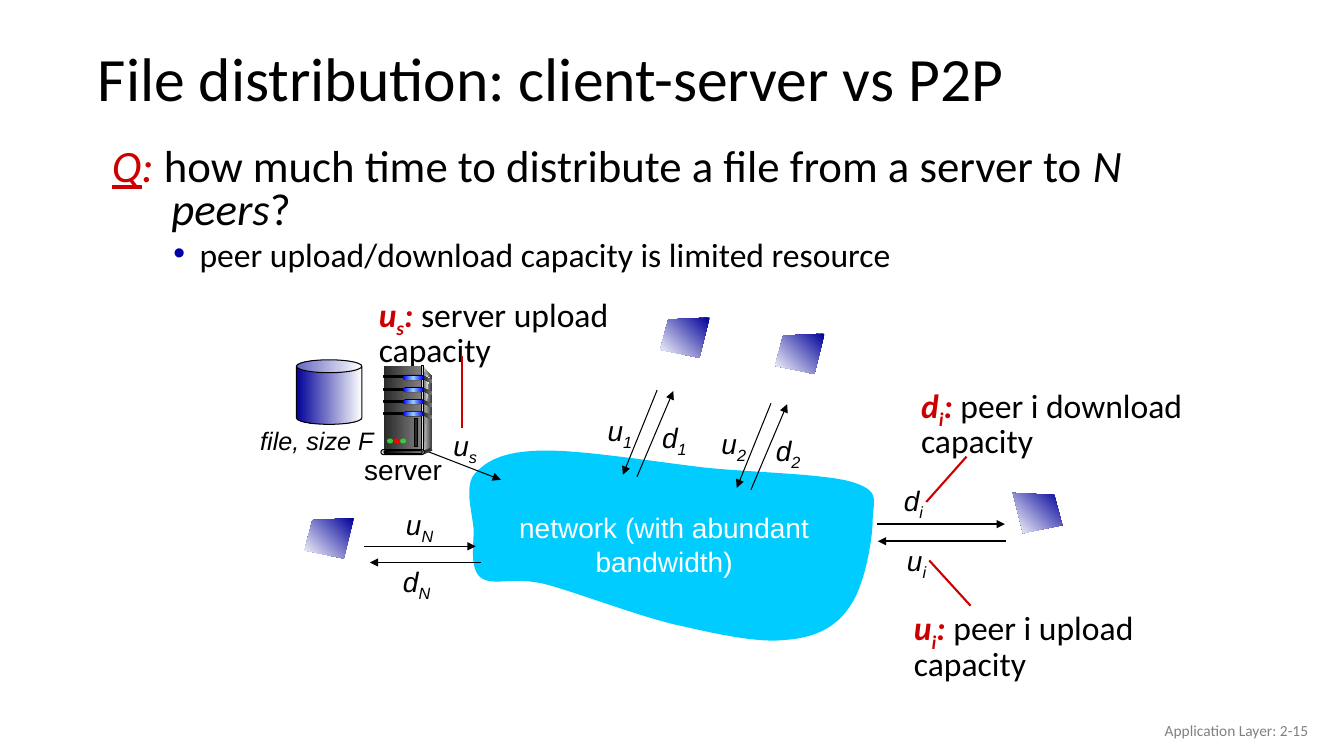
"""Build the slide on file distribution, client-server versus P2P."""
from copy import deepcopy
from lxml.etree import SubElement
from pptx import Presentation
from pptx.dml.color import RGBColor
from pptx.enum.shapes import MSO_CONNECTOR, MSO_SHAPE
from pptx.enum.text import MSO_ANCHOR, MSO_AUTO_SIZE, PP_ALIGN
from pptx.oxml.ns import qn
from pptx.util import Cm, Pt

BLACK = RGBColor(0, 0, 0)
WHITE = RGBColor(255, 255, 255)
RED = RGBColor(0xCC, 0, 0)
GREY = RGBColor(0x80, 0x80, 0x80)
CYAN = RGBColor(0, 0xCC, 0xFF)
NAVY = RGBColor(0, 0, 0x99)
BLUE = RGBColor(0, 0, 0xFF)
SKY = RGBColor(0x99, 0xCC, 0xFF)
DARK = RGBColor(0x29, 0x29, 0x29)
SLATE = RGBColor(0x33, 0x33, 0x33)
PALE = RGBColor(0xDD, 0xDD, 0xDD)
GREEN = RGBColor(0x33, 0xCC, 0x33)
LAMP = RGBColor(0xFF, 0, 0)

INCH = 2.54
TITLE = "File distribution: client-server vs P2P"
ASK = [("Q", RED, True), (":", RED, True),
       (" how much time to distribute a file from a server to ", BLACK, False),
       ("N peers", BLACK, True), ("?", BLACK, False)]
POINT = "peer upload/download capacity is limited resource"
START = (5.37, 4.47)
CURVES = [
    (4.99, 4.48, 4.83, 4.57, 4.71, 4.7), (4.6, 4.83, 4.69, 5.09, 4.7, 5.26),
    (4.7, 5.43, 4.66, 5.64, 4.77, 5.73), (4.89, 5.82, 5.07, 5.72, 5.39, 5.79),
    (5.7, 5.87, 6.27, 6.09, 6.67, 6.19), (7.07, 6.28, 7.49, 6.38, 7.78, 6.35),
    (8.08, 6.33, 8.29, 6.23, 8.43, 6.02), (8.58, 5.82, 8.66, 5.35, 8.66, 5.14),
    (8.67, 4.94, 8.73, 4.87, 8.45, 4.78), (8.17, 4.7, 7.5, 4.69, 7, 4.64),
    (6.49, 4.58, 5.75, 4.46, 5.37, 4.47)]
PLAIN = [
    (["server"], 3.36, 4.44, 1.28, 0.44, 20, BLACK, False),
    (["network (with abundant", "bandwidth)"], 5.04, 5.02, 3.1, 0.77, 20, WHITE, False),
    (["file, size F"], 2.38, 4.17, 1.53, 0.4, 18, BLACK, True)]
RATES = [("u", "s", 4.4, 4.2), ("u", "N", 3.93, 4.99), ("d", "N", 3.9, 5.55),
         ("d", "i", 8.87, 4.75), ("u", "i", 8.9, 5.34)]
TERMS = [("u", "s", " server upload capacity", 3.66, 2.89, 2.72),
         ("u", "i", " peer i upload capacity", 8.97, 6, 2.83),
         ("d", "i", " peer i download capacity", 9.04, 3.79, 3)]
FLOWS = [(4.09, 4.42, 4.97, 4.76, 0.75), (3.61, 5.42, 4.72, 5.42, 0.75),
         (4.77, 5.58, 3.67, 5.58, 0.75), (8.7, 5.2, 9.97, 5.2, 1.5),
         (9.98, 5.37, 8.71, 5.37, 1.5)]
LEADS = [(4.58, 3.53, 4.58, 4.25), (9.59, 4.53, 9.19, 4.98), (9.63, 6.01, 9.22, 5.56)]
PEERS = [(3.51, 5.14, -1), (7.04, 3.15, -1), (8.18, 3.31, -1), (10.05, 4.89, 1)]
SCREEN = [(0, 0), (0.41, 0.02), (0.49, 0.32), (0.1, 0.4)]
LIGHTS = [(3.84, GREEN), (3.91, LAMP), (3.97, GREEN)]

deck = Presentation()
deck.slide_width, deck.slide_height = Cm(33.87), Cm(19.05)
slide = deck.slides.add_slide(deck.slide_layouts[1])
shapes = slide.shapes


def span(*sizes):
    return [Cm(size * INCH) for size in sizes]


def style(font, size, color, name="Arial", slant=False):
    font.size, font.name, font.italic = Pt(size), name, slant
    font.color.rgb = color


def paint(shape, colors, angle=0, edge=False):
    shape.shadow.inherit = False
    if len(colors) == 1:
        shape.fill.solid()
        shape.fill.fore_color.rgb = colors[0]
    else:
        shape.fill.gradient()
        shape.fill.gradient_angle = angle
        stops = shape._element.spPr.find(".//" + qn("a:gsLst"))
        for _ in colors[2:]:
            stops.insert(1, deepcopy(stops[0]))
        for i, (stop, color) in enumerate(zip(shape.fill.gradient_stops, colors)):
            stop.color.rgb, stop.position = color, i / (len(colors) - 1)
    if edge:
        shape.line.color.rgb, shape.line.width = BLACK, Pt(0.75)
    else:
        shape.line.fill.background()


def block(kind, box, *colors, edge=False, bend=None):
    shape = shapes.add_shape(kind, *span(*box))
    if bend is not None:
        shape.adjustments[0] = bend
    paint(shape, colors, edge=edge)


def pill(box, *colors, edge=False):
    block(MSO_SHAPE.ROUNDED_RECTANGLE, box, *colors, edge=edge, bend=0.5)


def outline(points, *colors, angle=0):
    first, *rest = [span(*point) for point in points]
    path = shapes.build_freeform(*first)
    path.add_line_segments(rest)
    paint(path.convert_to_shape(), colors, angle)


def line(ends, color, width, arrow=True):
    link = shapes.add_connector(MSO_CONNECTOR.STRAIGHT, *span(*ends))
    link.line.color.rgb, link.line.width = color, Pt(width)
    props = link._element.spPr
    if arrow:
        SubElement(props.find(qn("a:ln")), qn("a:tailEnd"), type="triangle")
    SubElement(props, qn("a:effectLst"))


def label(box, wrap=True):
    frame = shapes.add_textbox(*span(*box)).text_frame
    frame.word_wrap, frame.auto_size = wrap, MSO_AUTO_SIZE.SHAPE_TO_FIT_TEXT
    return frame


def write(para, text, base=None):
    run = para.add_run()
    run.text = text
    if base is not None:
        run.font._element.set("baseline", str(base))
    return run


def rate(name, sub, left, top):
    para = label((left, top, 0.67, 0.44)).paragraphs[0]
    write(para, name)
    write(para, sub, -25000)
    style(para.font, 20, BLACK, slant=True)


def indent(para, left, first, mark=None):
    props = para._p.get_or_add_pPr()
    props.set("marL", str(Cm(left * INCH)))
    props.set("indent", str(Cm(first * INCH)))
    if mark:
        SubElement(SubElement(props, qn("a:buClr")), qn("a:srgbClr"), val="0000A8")
        SubElement(props, qn("a:buFont"), typeface="Arial")
        SubElement(props, qn("a:buChar"), char=mark)
    else:
        SubElement(props, qn("a:buNone"))


def place(shape, box, anchor):
    shape.left, shape.top, shape.width, shape.height = span(*box)
    frame = shape.text_frame
    frame.auto_size, frame.vertical_anchor = MSO_AUTO_SIZE.NONE, anchor
    return frame


head = place(shapes.title, (0.87, 0.32, 11.5, 0.98), MSO_ANCHOR.MIDDLE).paragraphs[0]
head.text, head.alignment, head.line_spacing = TITLE, PP_ALIGN.LEFT, 0.9
style(head.font, 44, BLACK, "Calibri")

body = place(slide.placeholders[1], (0.94, 1.42, 11.5, 1.42), MSO_ANCHOR.TOP)
ask, point = body.paragraphs[0], body.add_paragraph()
indent(ask, 0.66, -0.59)
for text, color, slant in ASK:
    style(write(ask, text).font, 32, color, "Calibri", slant)
ask.runs[0].font.underline = True
point.text, point.level = POINT, 1
indent(point, 0.94, -0.26, "•")
style(point.font, 24, BLACK, "Calibri")
for para, gap in ((ask, 0), (point, 5)):
    para.line_spacing, para.space_before = 0.8, Pt(gap)

foot = label((10.08, 7.05, 3, 0.4))
foot.vertical_anchor = MSO_ANCHOR.MIDDLE
foot.text = "Application Layer: 2-15"
foot.paragraphs[0].alignment = PP_ALIGN.RIGHT
style(foot.paragraphs[0].font, 11, GREY, "Calibri")

cloud = [START]
for ax, ay, bx, by, cx, cy in CURVES:
    x, y = cloud[-1]
    for t in (i / 12 for i in range(1, 13)):
        s = 1 - t
        parts = s ** 3, 3 * s * s * t, 3 * s * t * t, t ** 3
        cloud.append((sum(p * v for p, v in zip(parts, (x, ax, bx, cx))),
                      sum(p * v for p, v in zip(parts, (y, ay, by, cy)))))
outline(cloud, CYAN)

for *ends, width in FLOWS:
    line(ends, BLACK, width)
for i in range(2):
    dx, dy = 1.13 * i, 0.13 * i
    for name, x, y in (("u", 5.93, 4.05), ("d", 6.47, 4.12)):
        rate(name, str(i + 1), x + dx, y + dy)
    for x, y, ex, ey in ((6.52, 3.87, 6.18, 4.71), (6.32, 4.73, 6.68, 3.88)):
        line((x + dx, y + dy, ex + dx, ey + dy), BLACK, 0.75)
for item in RATES:
    rate(*item)
for rows, x, y, w, h, size, color, slant in PLAIN:
    frame = label((x, y, w, h), len(rows) == 1)
    frame.text = "\n".join(rows)
    for para in frame.paragraphs:
        para.alignment = PP_ALIGN.CENTER
        style(para.font, size, color, slant=slant)
for name, sub, text, x, y, w in TERMS:
    para = label((x, y, w, 0.79)).paragraphs[0]
    para.line_spacing = 0.85
    for part, base in ((name, 0), (sub, -25000), (":", 0)):
        run = write(para, part, base)
        style(run.font, 24, RED, "Calibri", True)
        run.font.bold = True
    style(write(para, text).font, 24, BLACK, "Calibri")
for ends in LEADS:
    line(ends, RED, 1.5, False)

block(MSO_SHAPE.CAN, (2.94, 3.57, 0.65, 0.64), NAVY, WHITE, edge=True, bend=0.2)
outline([(4.2, 3.64), (4.29, 3.74), (4.28, 4.44), (4.19, 4.47)], PALE, SLATE)
block(MSO_SHAPE.RECTANGLE, (3.81, 3.63, 0.37, 0.84), DARK, GREY)
outline([(4.21, 3.69), (4.26, 3.75), (4.22, 4.1), (4.21, 4.45)], GREY, WHITE)
block(MSO_SHAPE.RECTANGLE, (4.18, 3.63, 0.02, 0.84), SLATE, PALE, SLATE, edge=True)
for y in (3.73 + 0.12 * i for i in range(4)):
    block(MSO_SHAPE.RECTANGLE, (3.81, y, 0.21, 0.02), BLACK, edge=True)
    pill((4, y - 0.01, 0.21, 0.05), BLACK)
    pill((4, y, 0.2, 0.04), BLUE, SKY, BLUE)
    outline([(4.2, y), (4.29, y + 0.04), (4.28, y + 0.07), (4.2, y + 0.03)], DARK, GREY)
outline([(4.2, 4.47), (4.2, 4.51), (4.29, 4.47), (4.28, 4.44)], SLATE)
pill((3.78, 4.46, 0.43, 0.05), PALE, edge=True)
pill((3.81, 4.47, 0.38, 0.03), BLACK, GREY, edge=True)
for x, color in LIGHTS:
    block(MSO_SHAPE.OVAL, (x, 4.35, 0.06, 0.05), color)
block(MSO_SHAPE.RECTANGLE, (4.11, 4.15, 0.03, 0.28), DARK, edge=True)

for x, y, side in PEERS:
    outline([(x + side * dx, y + dy) for dx, dy in SCREEN], NAVY, WHITE, angle=225)
deck.save("out.pptx")
